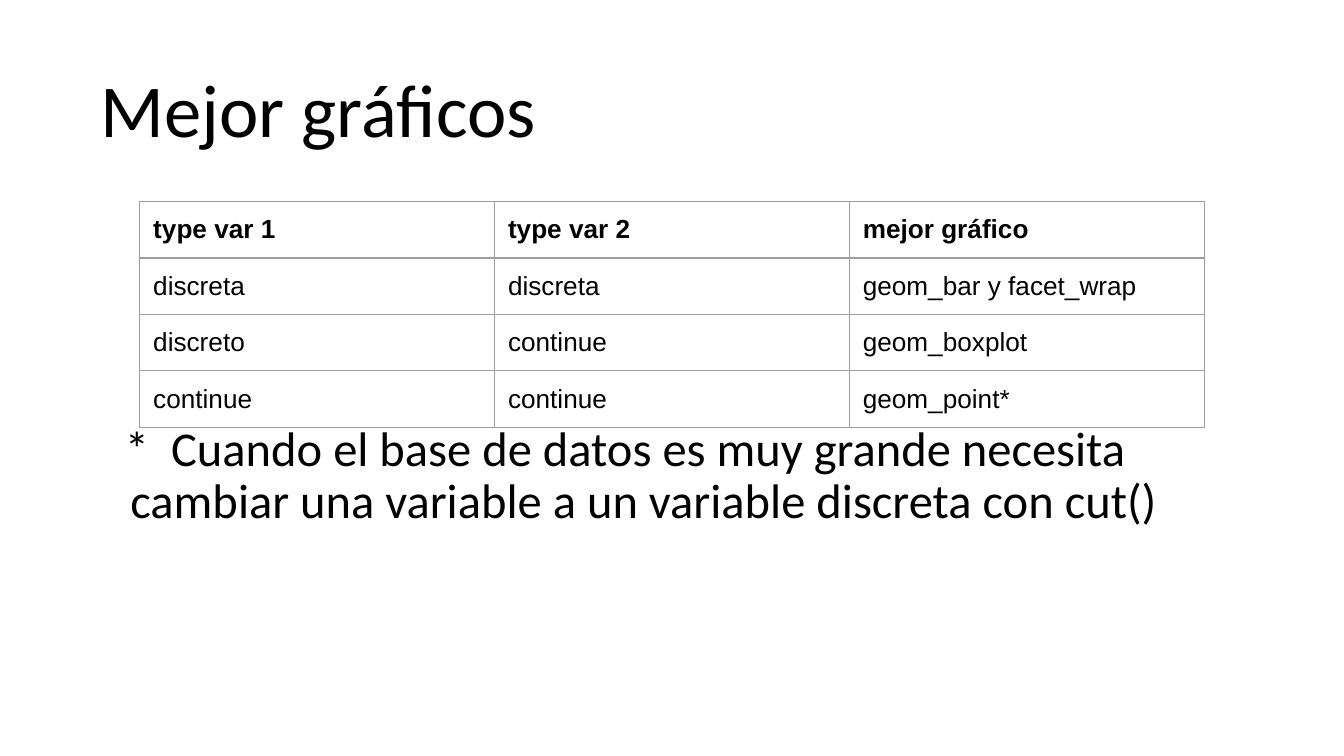
"""Build a slide with a table of the best plot for each pair of variable types."""
from lxml import etree
from pptx import Presentation
from pptx.dml.color import RGBColor
from pptx.enum.text import MSO_ANCHOR
from pptx.oxml.ns import qn
from pptx.util import Inches, Pt

TOP = MSO_ANCHOR.TOP
MIDDLE = MSO_ANCHOR.MIDDLE
BLACK = RGBColor(0, 0, 0)
GRAY = RGBColor(0x9E, 0x9E, 0x9E)

ROWS = [
    ("type var 1", "type var 2", "mejor gráfico"),
    ("discreta", "discreta", "geom_bar y facet_wrap"),
    ("discreto", "continue", "geom_boxplot"),
    ("continue", "continue", "geom_point*"),
]
NOTE = ("*  Cuando el base de datos es muy grande necesita "
        "cambiar una variable a un variable discreta con cut()")


def put_text(frame, text, size, font="Calibri", bold=False, space=None,
             left=0, first=0):
    para = frame.paragraphs[0]
    para.line_spacing = space
    if left:
        props = para._p.get_or_add_pPr()
        props.set("marL", str(Inches(left)))
        props.set("indent", str(Inches(first)))
    run = para.add_run()
    run.text = text
    run.font.size = Pt(size)
    run.font.name = font
    run.font.bold = bold
    run.font.color.rgb = BLACK


def set_inset(item, inset, base):
    item.margin_left = item.margin_right = item.margin_top = Inches(inset)
    item.margin_bottom = Inches(base)


def add_box(slide, place, text, size, anchor=TOP, **style):
    frame = slide.shapes.add_textbox(*map(Inches, place)).text_frame
    frame.word_wrap = True
    frame.vertical_anchor = anchor
    set_inset(frame, 0.06, 0.06)
    put_text(frame, text, size, space=0.9, **style)


def set_edges(cell):
    props = cell._tc.get_or_add_tcPr()
    for side in ("a:lnL", "a:lnR", "a:lnT", "a:lnB"):
        line = etree.SubElement(props, qn(side), w=str(Pt(0.75)))
        fill = etree.SubElement(line, qn("a:solidFill"))
        etree.SubElement(fill, qn("a:srgbClr"), val=str(GRAY))


def add_grid(slide, rows, left, top, width, height):
    count = len(rows[0])
    table = slide.shapes.add_table(
        len(rows), count, Inches(left), Inches(top),
        Inches(width * count), Inches(height * len(rows))).table
    table.first_row = table.horz_banding = False
    for col in table.columns:
        col.width = Inches(width)
    for r, row in enumerate(rows):
        table.rows[r].height = Inches(height)
        for c, text in enumerate(row):
            cell = table.cell(r, c)
            set_inset(cell, 0.1, 0.08)
            set_edges(cell)
            cell.fill.background()
            put_text(cell.text_frame, text, 14, font="Arial", bold=r == 0)


def main():
    deck = Presentation()
    deck.slide_width = Inches(10)
    deck.slide_height = deck.slide_width * 9 // 16
    slide = deck.slides.add_slide(deck.slide_layouts[6])
    add_box(slide, (0.69, 0.3, 8.62, 1.09), "Mejor gráficos", 40,
            anchor=MIDDLE)
    add_box(slide, (0.69, 3.1, 8.62, 1.97), NOTE, 26, left=0.22, first=-0.04)
    add_grid(slide, ROWS, 1.04, 1.5, 2.64, 0.42)
    deck.save("out.pptx")


main()
